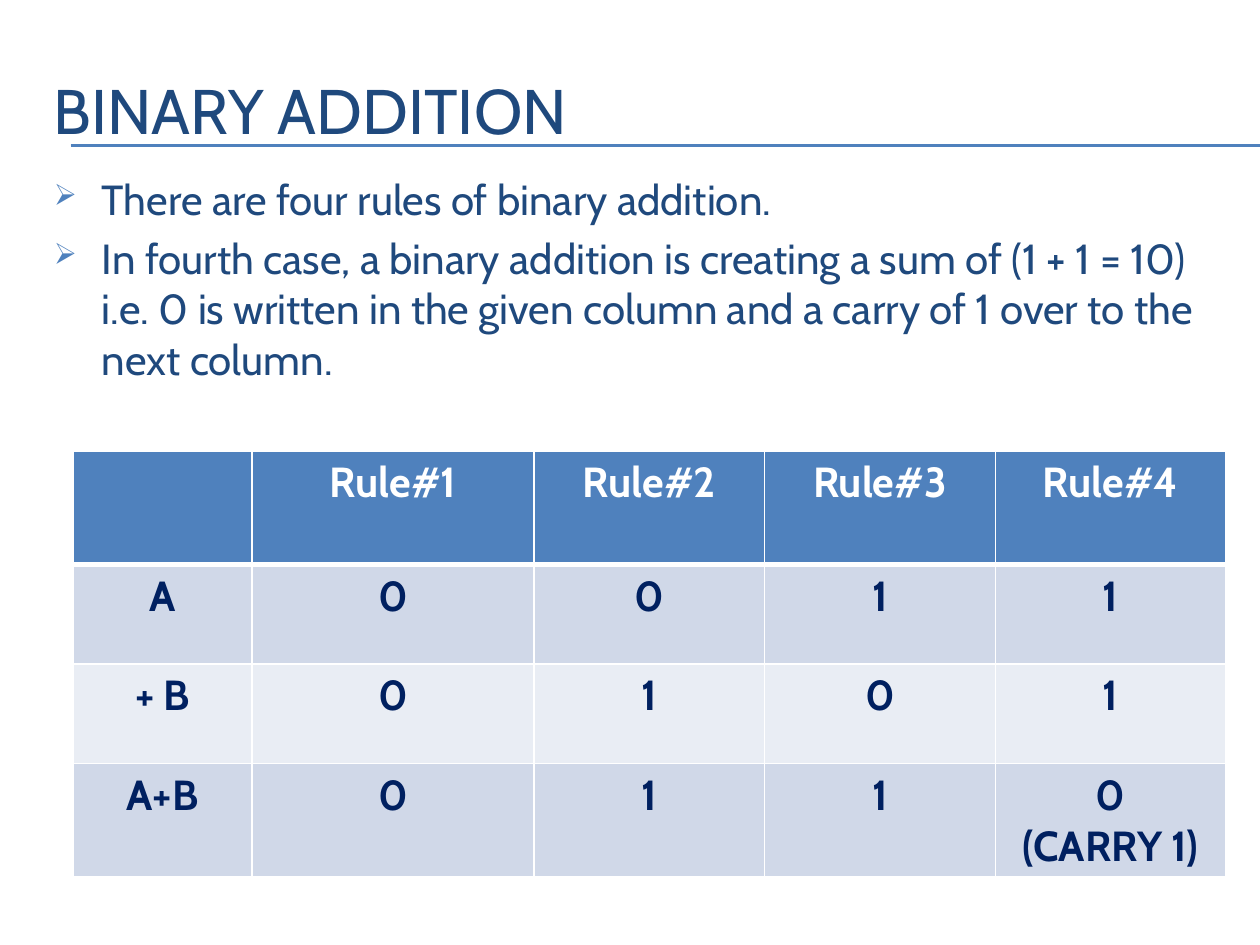
from lxml.etree import SubElement
from pptx import Presentation
from pptx.dml.color import RGBColor
from pptx.enum.shapes import MSO_CONNECTOR
from pptx.enum.text import MSO_ANCHOR, PP_ALIGN
from pptx.oxml.ns import qn
from pptx.util import Inches, Pt

BLUE, NAVY, INK, WHITE = "4F81BD", "1F497D", "002060", "FFFFFF"
BANDS = ["D0D8E8", "E9EDF4"]
COLS = [1.42, 2.24, 1.83, 1.83, 1.83]
ROWS = [0.9, 0.79, 0.79, 0.9]
RULES = [
    ["", "Rule#1", "Rule#2", "Rule#3", "Rule#4"],
    ["A", "0", "0", "1", "1"],
    ["+ B", "0", "1", "0", "1"],
    ["A+B", "0", "1", "1", "0\n(CARRY 1)"],
]
POINTS = [
    "There are four rules of binary addition.",
    "In fourth case, a binary addition is creating a sum of (1 + 1 = 10) "
    "i.e. 0 is written in the given column and a carry of 1 over to the "
    "next column.",
]


def rgb(code):
    return RGBColor.from_string(code)


def add_bullet(par):
    props = par._p.get_or_add_pPr()
    props.set("marL", str(Inches(0.38)))
    props.set("indent", str(-Inches(0.38)))
    tint = SubElement(props, qn("a:buClr"))
    SubElement(tint, qn("a:srgbClr"), val=BLUE)
    SubElement(props, qn("a:buSzPct"), val="70000")
    SubElement(props, qn("a:buChar"), char="➢")


def write(frame, text, size=24, color=NAVY, bold=False,
          align=PP_ALIGN.LEFT, bullet=False, gap=0):
    """Fill a text frame, one paragraph per line of text."""
    frame.word_wrap = True
    for i, line in enumerate(text.split("\n")):
        par = frame.add_paragraph() if i else frame.paragraphs[0]
        if bullet:
            add_bullet(par)
        par.alignment = align
        if i:
            par.space_before = Pt(gap)
        font = par.font
        font.name, font.size, font.bold = "Cabin", Pt(size), bold
        font.color.rgb = rgb(color)
        par.text = line


def add_box(slide, x, y, w, h, text, anchor=MSO_ANCHOR.TOP, **style):
    box = slide.shapes.add_textbox(Inches(x), Inches(y), Inches(w), Inches(h))
    box.text_frame.vertical_anchor = anchor
    write(box.text_frame, text, **style)


def add_line(slide, x, y, end):
    line = slide.shapes.add_connector(
        MSO_CONNECTOR.STRAIGHT, Inches(x), Inches(y), Inches(end), Inches(y))
    line.line.color.rgb = rgb(BLUE)
    line.line.width = Pt(0.75)
    SubElement(line._element.spPr, qn("a:effectLst"))


def add_edges(cell, top, bottom):
    """Draw white cell borders; widths in points."""
    props = cell._tc.get_or_add_tcPr()
    for side, width in zip("LRTB", (1, 1, top, bottom)):
        edge = SubElement(props, qn(f"a:ln{side}"), w=str(Pt(width)))
        fill = SubElement(edge, qn("a:solidFill"))
        SubElement(fill, qn("a:srgbClr"), val=WHITE)


def add_grid(slide, x, y):
    table = slide.shapes.add_table(
        len(ROWS), len(COLS), Inches(x), Inches(y),
        Inches(sum(COLS)), Inches(sum(ROWS))).table
    for col, width in zip(table.columns, COLS):
        col.width = Inches(width)
    for r, (row, high) in enumerate(zip(table.rows, ROWS)):
        row.height = Inches(high)
        for cell, text in zip(row.cells, RULES[r]):
            add_edges(cell, top=3 if r == 1 else 1, bottom=1 if r else 3)
            cell.fill.solid()
            cell.fill.fore_color.rgb = rgb(BANDS[(r - 1) % 2] if r else BLUE)
            write(cell.text_frame, text, color=INK if r else WHITE,
                  bold=True, align=PP_ALIGN.CENTER)


def main():
    deck = Presentation()
    deck.slide_width, deck.slide_height = Inches(10), Inches(7.5)
    slide = deck.slides.add_slide(deck.slide_layouts[6])
    for y in (1.15, 1.16):
        add_line(slide, 0.56, y, 10)
    add_box(slide, 0.33, 0.33, 9.5, 1.08, "BINARY ADDITION",
            anchor=MSO_ANCHOR.MIDDLE, size=36)
    add_box(slide, 0.33, 1.33, 9.5, 2.83, "\n".join(POINTS),
            bullet=True, gap=4.8)
    add_grid(slide, 0.58, 3.58)
    deck.save("out.pptx")


if __name__ == "__main__":
    main()
